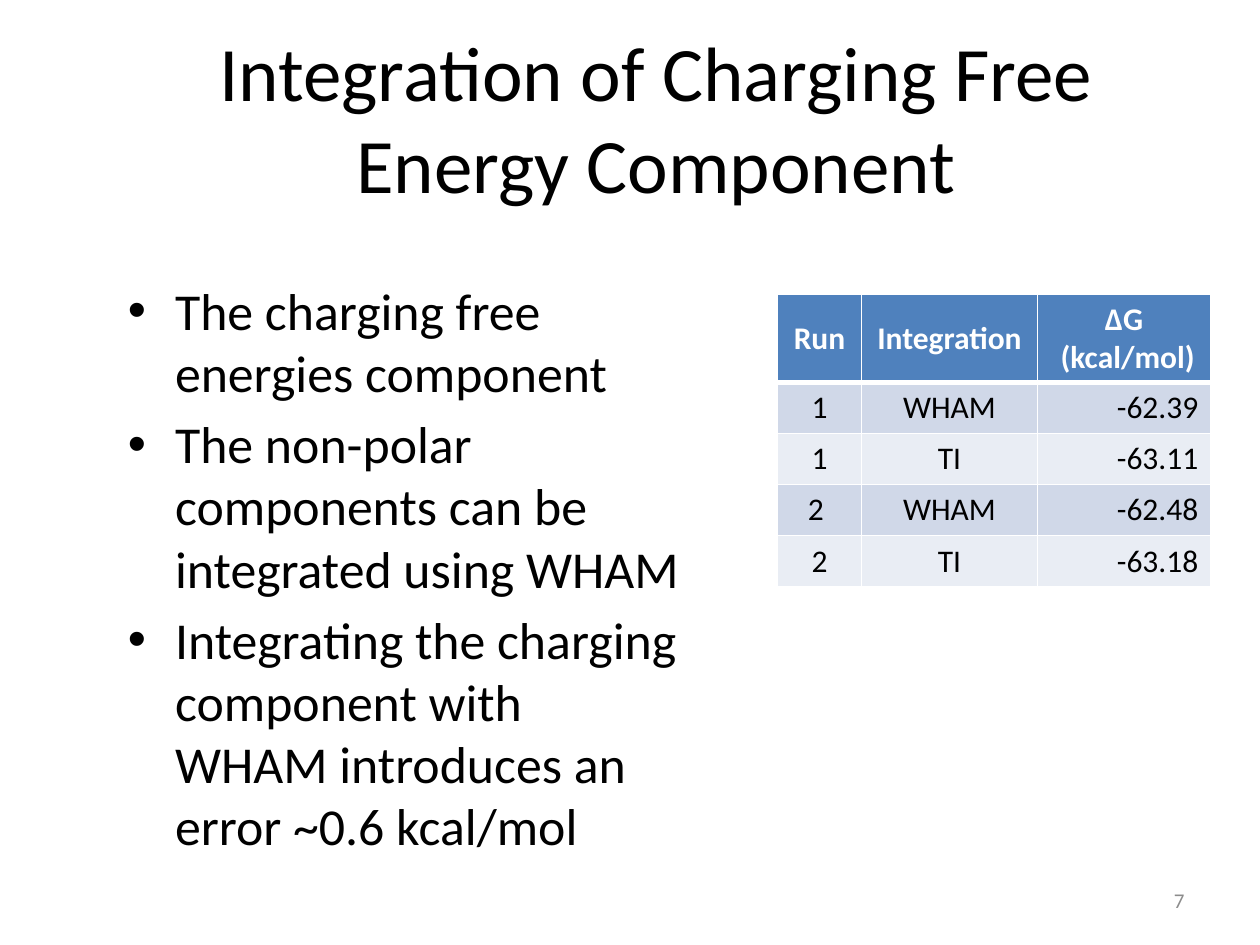
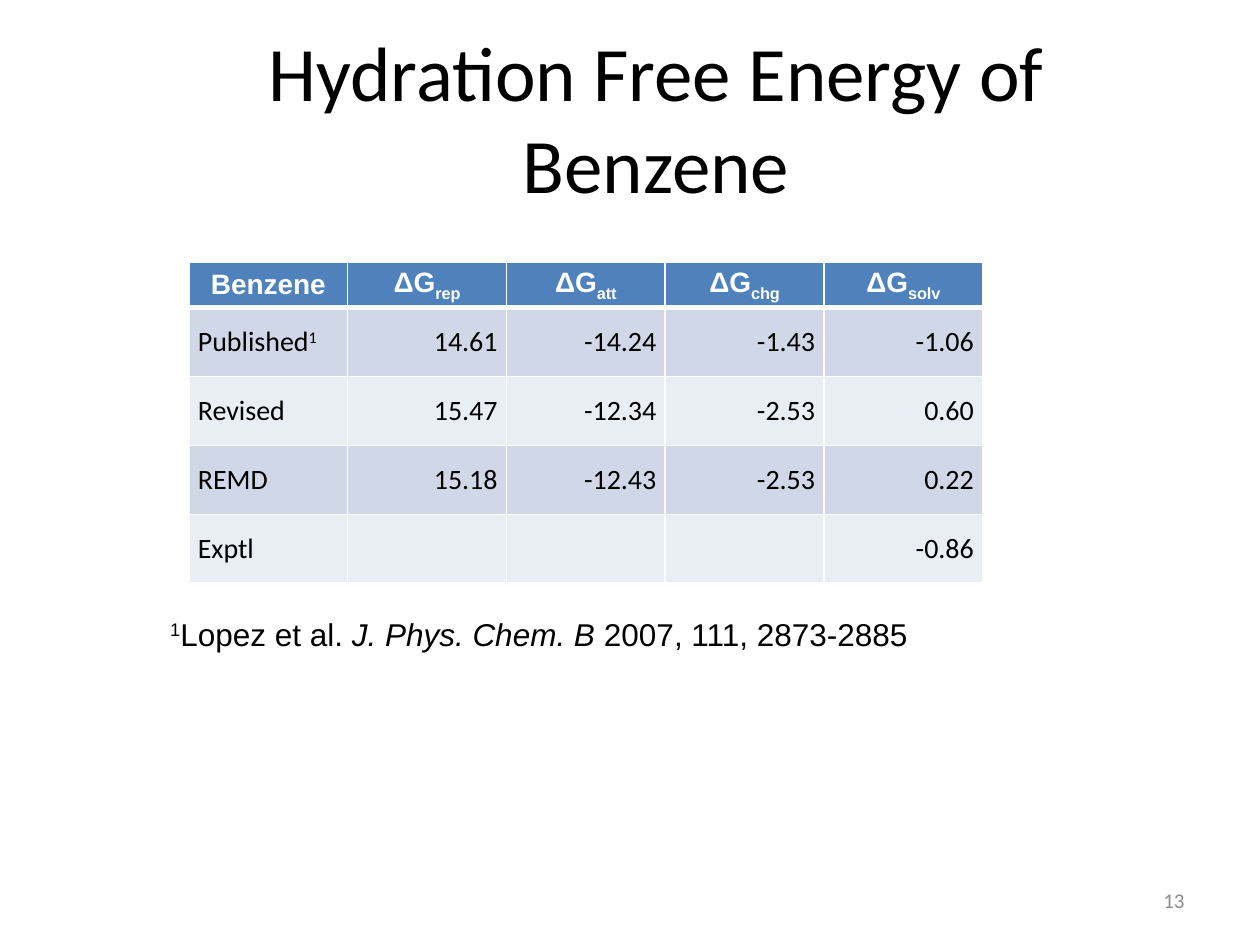
import pptx
import pptx.dml.color
import pptx.enum.text
import pptx.util
from lxml import etree
from pptx.oxml.ns import qn

Cm, Pt = pptx.util.Cm, pptx.util.Pt
ALIGN = {"l": pptx.enum.text.PP_ALIGN.LEFT,
         "c": pptx.enum.text.PP_ALIGN.CENTER,
         "r": pptx.enum.text.PP_ALIGN.RIGHT}
MIDDLE = pptx.enum.text.MSO_ANCHOR.MIDDLE
TOP = pptx.enum.text.MSO_ANCHOR.TOP

# Shared look
BLACK, WHITE, GREY = "000000", "FFFFFF", "8C8C8C"
HEAD, BANDS = "4F81BD", ("D0D8E8", "E9EDF4")
TITLE = {"name": "Calibri", "size": Pt(44)}
BODY = {"name": "Calibri", "size": Pt(29.6)}
FOOT = {"name": "Calibri", "size": Pt(12)}
CITE = {"name": "Arial", "size": Pt(18)}

# Run marks: baseline shift in thousandths of a percent, or italic
SUB, SUP = {"base": -25000}, {"base": 30000}
ITALIC = {"italic": True}


def color(hexa):
    return pptx.dml.color.RGBColor.from_string(hexa)


def write(para, runs, look, ink, align="l"):
    """Fill a paragraph from a string or a list of (text, marks) runs."""
    para.alignment = ALIGN[align]
    for text, marks in [(runs, {})] if isinstance(runs, str) else runs:
        run = para.add_run()
        run.text = text
        for key, value in {**look, **marks}.items():
            if key == "base":
                run._r.get_or_add_rPr().set("baseline", str(value))
            else:
                setattr(run.font, key, value)
        run.font.color.rgb = color(ink)


def add_text(slide, box, runs, look, ink=BLACK, align="l", anchor=TOP):
    frame = slide.shapes.add_textbox(*map(Cm, box)).text_frame
    frame.word_wrap = True
    frame.vertical_anchor = anchor
    write(frame.paragraphs[0], runs, look, ink, align)


def add_list(slide, box, items):
    frame = slide.shapes.add_textbox(*map(Cm, box)).text_frame
    frame.word_wrap = True
    for i, item in enumerate(items):
        para = frame.add_paragraph() if i else frame.paragraphs[0]
        if i:
            para.space_before = Pt(5)
        props = para._p.get_or_add_pPr()
        props.set("marL", str(Cm(0.95)))
        props.set("indent", str(-Cm(0.95)))
        etree.SubElement(props, qn("a:buFont")).set("typeface", "Arial")
        etree.SubElement(props, qn("a:buChar")).set("char", "•")
        write(para, item, BODY, BLACK)


def add_edges(cell, row):
    """White cell borders, with a thick rule below the header."""
    wide = {"T": row == 1, "B": row == 0}
    props = cell._tc.get_or_add_tcPr()
    for side in "LRTB":
        line = etree.SubElement(props, qn("a:ln" + side))
        line.set("w", str(Pt(3 if wide.get(side) else 1)))
        fill = etree.SubElement(line, qn("a:solidFill"))
        etree.SubElement(fill, qn("a:srgbClr")).set("val", WHITE)


def add_grid(slide, spot, widths, heights, rows, aligns, fonts, size,
             anchor=TOP, pads=None):
    """A banded table; a list of lists in a cell means several paragraphs."""
    box = (*spot, sum(widths), sum(heights))
    grid = slide.shapes.add_table(len(rows), len(widths), *map(Cm, box)).table
    grid.horz_banding = False
    for col, width in zip(grid.columns, widths):
        col.width = Cm(width)
    for row, height in zip(grid.rows, heights):
        row.height = Cm(height)

    for r, row in enumerate(rows):
        head = r == 0
        look = {"name": fonts[0 if head else 1], "size": size, "bold": head}
        for c, entry in enumerate(row):
            cell = grid.cell(r, c)
            add_edges(cell, r)
            cell.fill.solid()
            cell.fill.fore_color.rgb = color(HEAD if head else BANDS[(r - 1) % 2])
            cell.vertical_anchor = MIDDLE if head else anchor
            for key, value in (pads or {}).items():
                setattr(cell, key, value)
            if not entry:
                continue
            paras = entry if isinstance(entry, tuple) else (entry,)
            for i, runs in enumerate(paras):
                para = (cell.text_frame.add_paragraph() if i
                        else cell.text_frame.paragraphs[0])
                write(para, runs, look, WHITE if head else BLACK,
                      "c" if head else aligns[c])


def add_page(deck, title, number):
    """A blank slide with the shared title and page number."""
    slide = deck.slides.add_slide(deck.slide_layouts[6])
    add_text(slide, (2.33, 0.76, 21.8, 3.18), title, TITLE,
             align="c", anchor=MIDDLE)
    add_text(slide, (18.2, 17.65, 5.93, 1.01), number, FOOT, GREY,
             "r", MIDDLE)
    return slide


def charge_page(deck):
    slide = add_page(deck, "Integration of Charging Free Energy Component", "7")
    rows = [
        ["Run", "Integration", ("ΔG", " (kcal/mol)")],
        ["1", "WHAM", "-62.39"],
        ["1", "TI", "-63.11"],
        ["2 ", "WHAM", "-62.48"],
        ["2", "TI", "-63.18"],
    ]
    add_grid(slide, (15.67, 5.93), (1.7, 3.54, 3.5), [1.75] + [1.03] * 4,
             rows, "ccr", ("Calibri", "Calibri"), Pt(18))
    add_list(slide, (2.33, 5.5, 11.64, 11.64), [
        "The charging free energies component",
        "The non-polar components can be integrated using WHAM",
        "Integrating the charging component with WHAM introduces an error "
        "~0.6 kcal/mol",
    ])


def benzene_page(deck):
    slide = add_page(deck, "Hydration Free Energy of Benzene", "13")
    terms = [[("ΔG", {}), (term, SUB)] for term in ("rep", "att", "chg", "solv")]
    rows = [
        ["Benzene", *terms],
        [[("Published", {}), ("1", SUP)], "14.61", "-14.24", "-1.43", "-1.06"],
        ["Revised", "15.47", "-12.34", "-2.53", "0.60"],
        ["REMD", "15.18", "-12.43", "-2.53", "0.22"],
        ["Exptl", "", "", "", "-0.86"],
    ]
    pads = {"margin_left": Cm(0.18), "margin_right": Cm(0.18),
            "margin_top": 0, "margin_bottom": 0}
    add_grid(slide, (3.81, 5.29), [3.2] * 5, [0.91] + [1.39] * 4,
             rows, "lrrrr", ("Arial", "Calibri"), Pt(16), MIDDLE, pads)
    # Reference under the table
    add_text(slide, (3.18, 12.27, 17.78, 1.02), [
        ("1", SUP), ("Lopez et al.", {}), (" J. Phys. Chem. B", ITALIC),
        (" 2007, 111, 2873-2885", {}),
    ], CITE)


def main():
    deck = pptx.Presentation()
    deck.slide_width, deck.slide_height = Cm(25.4), Cm(19.05)
    charge_page(deck)
    benzene_page(deck)
    deck.save("out.pptx")


if __name__ == "__main__":
    main()
